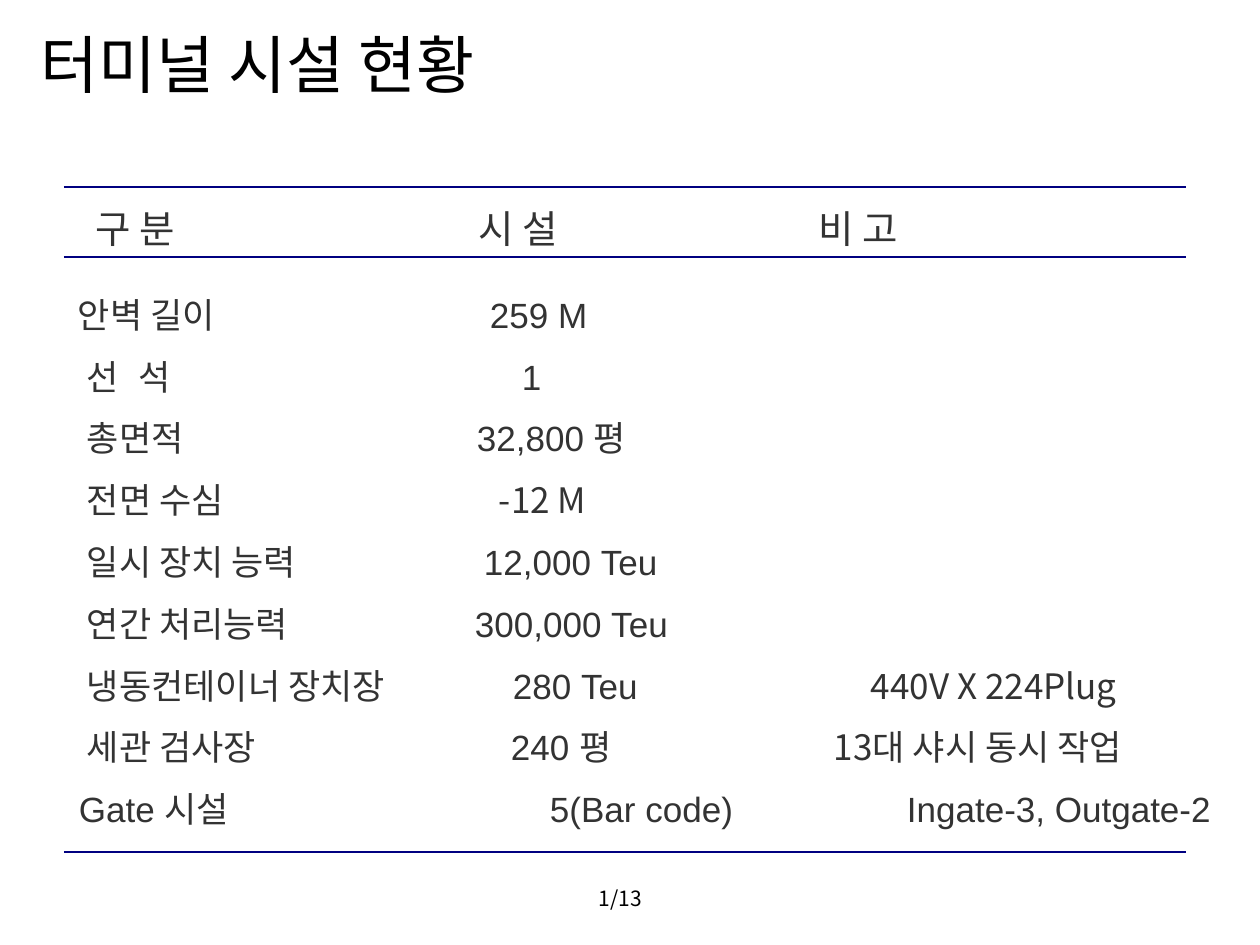
"""Builds the terminal facility overview slide."""
from dataclasses import dataclass

from lxml import etree
from pptx import Presentation
from pptx.dml.color import RGBColor
from pptx.enum.shapes import MSO_CONNECTOR
from pptx.enum.text import MSO_ANCHOR, PP_ALIGN
from pptx.oxml.ns import qn
from pptx.util import Emu, Pt

PX = 914400 // 126
STRAIGHT = MSO_CONNECTOR.STRAIGHT
TOP, MIDDLE = MSO_ANCHOR.TOP, MSO_ANCHOR.MIDDLE
LEFT, CENTER = PP_ALIGN.LEFT, PP_ALIGN.CENTER


@dataclass(frozen=True)
class Theme:
    black: RGBColor = RGBColor.from_string("000000")
    text: RGBColor = RGBColor.from_string("333333")
    rule: RGBColor = RGBColor.from_string("000080")
    korean: str = "Noto Sans CJK KR"
    latin: str = "Arial"
    title: int = 36
    header: int = 22
    body: int = 20
    footer: int = 12


theme = Theme()


def add_text(page, frame, rows, size, color, anchor=TOP, align=LEFT, inset=0, line=None, after=0):
    """Writes rows of (x, text, font) cells, each left-aligned cell on its own tab stop."""
    box = page.shapes.add_textbox(*(Emu(value * PX) for value in frame))
    body = box.text_frame
    body.word_wrap = True
    body.vertical_anchor = anchor
    body.margin_left = body.margin_right = 0
    body.margin_top = body.margin_bottom = Emu(inset * PX)
    for index, cells in enumerate(rows):
        para = body.add_paragraph() if index else body.paragraphs[0]
        if align == LEFT:
            tabs = etree.SubElement(para._p.get_or_add_pPr(), qn("a:tabLst"))
            for x, _, _ in cells:
                etree.SubElement(tabs, qn("a:tab"), pos=str((x - frame[0]) * PX), algn="l")
        para.alignment = align
        para.space_after = Pt(after)
        if line:
            para.line_spacing = Pt(line)
        for _, text, font in cells:
            span = para.add_run()
            span.text = "\t" + text if align == LEFT else text
            span.font.size = Pt(size)
            span.font.name = font
            span.font.color.rgb = color
            etree.SubElement(span._r.get_or_add_rPr(), qn("a:ea"), typeface=theme.korean)


deck = Presentation()
deck.slide_width, deck.slide_height = Emu(1260 * PX), Emu(945 * PX)
page = deck.slides.add_slide(deck.slide_layouts[6])

korean, latin = theme.korean, theme.latin
title = [[(41, "터미널 시설 현황", korean)]]
header = [[(96, "구 분", korean), (479, "시 설", korean), (819, "비 고", korean)]]
facilities = [
    [(78, "안벽 길이", korean), (490, "259 M", latin)],
    [(87, "선", korean), (139, "석", korean), (522, "1", latin)],
    [(87, "총면적", korean), (477, "32,800 평", latin)],
    [(87, "전면 수심", korean), (499, "-12 M", korean)],
    [(87, "일시 장치 능력", korean), (484, "12,000 Teu", latin)],
    [(87, "연간 처리능력", korean), (475, "300,000 Teu", latin)],
    [(87, "냉동컨테이너 장치장", korean), (513, "280 Teu", latin), (871, "440V X 224Plug", korean)],
    [(87, "세관 검사장", korean), (511, "240 평", latin), (834, "13대 샤시 동시 작업", korean)],
    [(79, "Gate 시설", latin), (550, "5(Bar code)", latin), (907, "Ingate-3, Outgate-2", latin)],
]
footer = [[(0, "1/13", korean)]]

add_text(page, (33, 189, 1196, 78), header, theme.header, theme.text, anchor=MIDDLE)

for y in (187, 257, 852):
    rule = page.shapes.add_connector(STRAIGHT, *(Emu(value * PX) for value in (64, y, 1186, y)))
    rule.line.color.rgb = theme.rule
    rule.line.width = Pt(0.75)
    etree.SubElement(rule._element.spPr, qn("a:effectLst"))

add_text(page, (0, 290, 1260, 556), facilities, theme.body, theme.text, line=26, after=9.3)
add_text(page, (14, 20, 507, 88), title, theme.title, theme.black, inset=6)
add_text(page, (551, 880, 139, 38), footer, theme.footer, theme.black, align=CENTER, inset=6)

deck.save("out.pptx")
